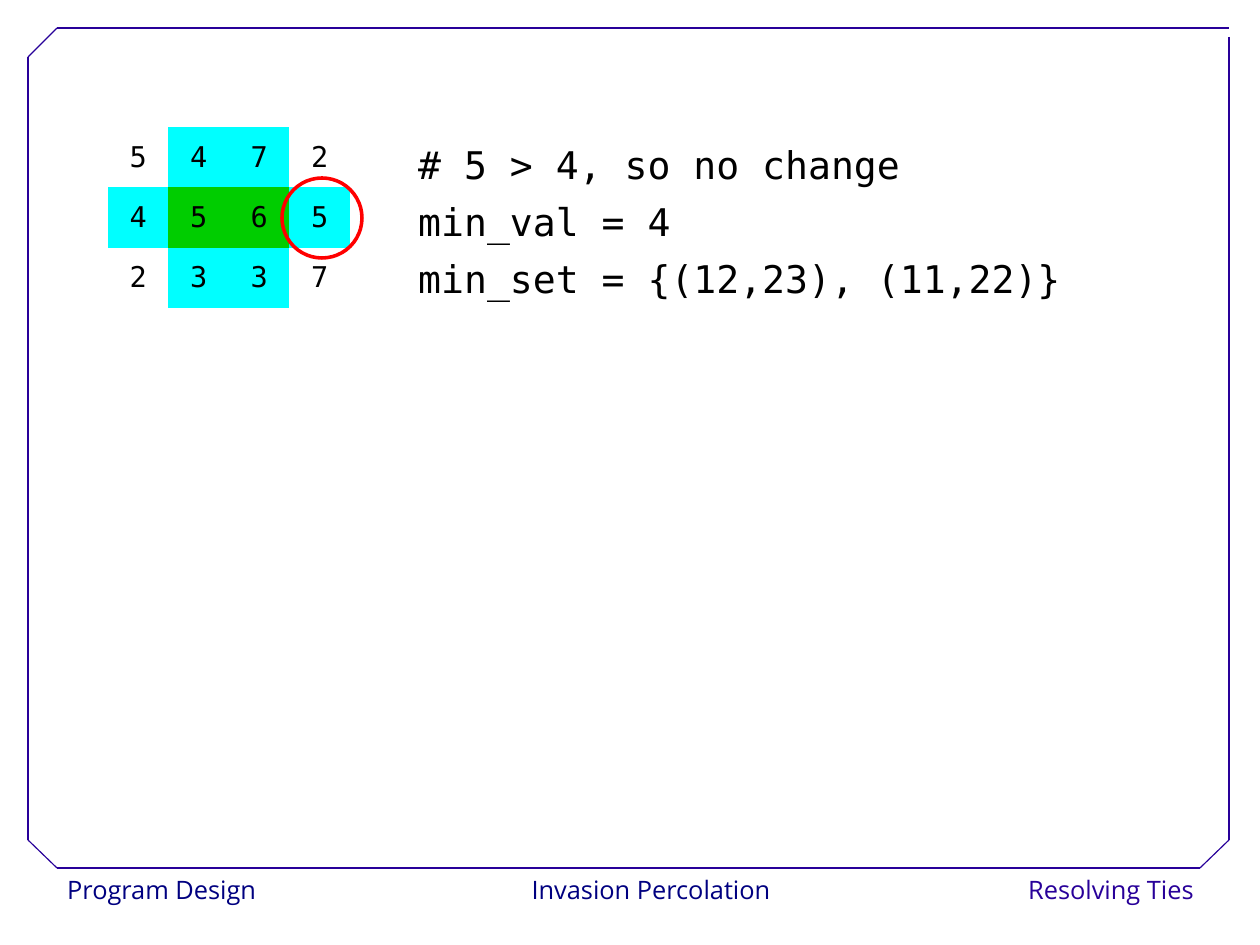
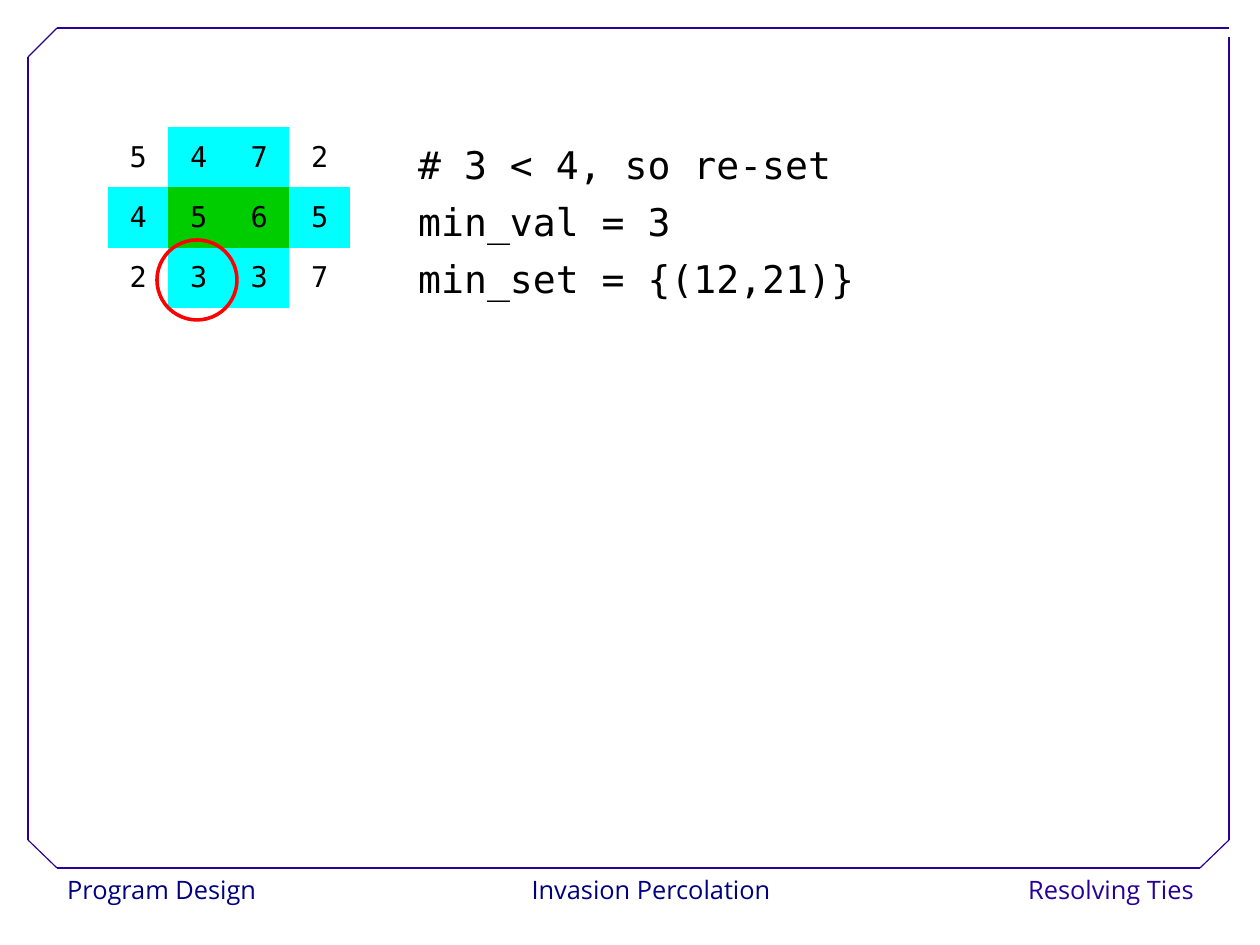
from itertools import pairwise

from lxml import etree
from pptx import Presentation
from pptx.dml.color import RGBColor
from pptx.enum.shapes import MSO_CONNECTOR, MSO_SHAPE
from pptx.enum.text import MSO_ANCHOR, PP_ALIGN
from pptx.oxml.ns import qn
from pptx.util import Pt

PX = 8000
LEFT, CENTER, RIGHT = PP_ALIGN.LEFT, PP_ALIGN.CENTER, PP_ALIGN.RIGHT
TOP, MIDDLE = MSO_ANCHOR.TOP, MSO_ANCHOR.MIDDLE
RECTANGLE, OVAL = MSO_SHAPE.RECTANGLE, MSO_SHAPE.OVAL
STRAIGHT = MSO_CONNECTOR.STRAIGHT
BLANK_LAYOUT = 6
PLAIN_TABLE_STYLE = "{2D5ABB26-0587-4C30-8999-92F81FD0307C}"

COLORS = {
    "paper": "FFFFFF",
    "ink": "000000",
    "navy": "000080",
    "violet": "280099",
    "neighbor": "00FFFF",
    "filled": "00CD00",
    "marker": "FF0000",
}
SANS, MONO = "Open Sans", "DejaVu Sans Mono"

SLIDE_SIZE = (1260, 945)
FRAME_PATH = [(1229, 37), (1229, 840), (1200, 868), (57, 868),
              (28, 840), (28, 57), (57, 28), (1229, 28)]
FOOTERS = [
    ("Program Design", (56, 868, 206, 46), LEFT, "navy"),
    ("Invasion Percolation", (523, 868, 256, 46), CENTER, "navy"),
    ("Resolving Ties", (1045, 868, 160, 46), RIGHT, "violet"),
]
GRID_BOX = (108, 127, 242, 181)
GRID_VALUES = ["5472", "4565", "2337"]
GRID_ROLES = [".NN.", "NFFN", ".NN."]
ROLE_COLORS = {"N": "neighbor", "F": "filled"}
MARKER_SIZE = 80
CODE_BOX = (407, 124, 742, 187)

STEPS = [
    ((282, 178), ["# 5 > 4, so no change", "min_val = 4",
                  "min_set = {(12,23), (11,22)}"]),
    ((157, 240), ["# 3 < 4, so re-set", "min_val = 3",
                  "min_set = {(12,21)}"]),
]


def px(*lengths):
    return [length * PX for length in lengths]


def rgb(name):
    return RGBColor.from_string(COLORS[name])


def write(frame, lines, *, size, font, color="ink", align=LEFT,
          spacing=1.02, wrap=True):
    frame.word_wrap = wrap
    for index, line in enumerate(lines):
        paragraph = frame.add_paragraph() if index else frame.paragraphs[0]
        paragraph.alignment = align
        paragraph.line_spacing = spacing
        run = paragraph.add_run()
        run.text = line
        run.font.size = Pt(size)
        run.font.name = font
        run.font.color.rgb = rgb(color)


class Deck:
    def __init__(self):
        self.presentation = Presentation()
        width, height = px(*SLIDE_SIZE)
        self.presentation.slide_width = width
        self.presentation.slide_height = height
        self.slide = None

    def new_slide(self):
        layout = self.presentation.slide_layouts[BLANK_LAYOUT]
        self.slide = self.presentation.slides.add_slide(layout)
        for label, box, align, color in FOOTERS:
            self.footer(label, box, align, color)
        for start, end in pairwise(FRAME_PATH):
            self.line(start, end)

    def footer(self, label, box, align, color):
        band = self.slide.shapes.add_shape(RECTANGLE, *px(*box))
        band.shadow.inherit = False
        band.fill.solid()
        band.fill.fore_color.rgb = rgb("paper")
        band.line.fill.background()
        band.text_frame.vertical_anchor = TOP
        write(band.text_frame, [label], size=16, font=SANS, color=color,
              align=align, wrap=False)

    def line(self, start, end):
        edge = self.slide.shapes.add_connector(STRAIGHT, *px(*start, *end))
        edge.line.color.rgb = rgb("violet")
        edge.line.width = Pt(0.75)
        etree.SubElement(edge._element.spPr, qn("a:effectLst"))

    def grid(self):
        table = self.slide.shapes.add_table(
            len(GRID_VALUES), len(GRID_VALUES[0]), *px(*GRID_BOX)).table
        table.first_row = table.horz_banding = False
        table._tbl.tblPr.find(qn("a:tableStyleId")).text = PLAIN_TABLE_STYLE
        roles = "".join(GRID_ROLES)
        values = "".join(GRID_VALUES)
        for cell, value, role in zip(table.iter_cells(), values, roles):
            if role in ROLE_COLORS:
                cell.fill.solid()
                cell.fill.fore_color.rgb = rgb(ROLE_COLORS[role])
            else:
                cell.fill.background()
            cell.vertical_anchor = MIDDLE
            write(cell.text_frame, [value], size=18, font=MONO, align=CENTER)

    def marker(self, left, top):
        ring = self.slide.shapes.add_shape(
            OVAL, *px(left, top, MARKER_SIZE, MARKER_SIZE))
        ring.shadow.inherit = False
        ring.fill.background()
        ring.line.color.rgb = rgb("marker")
        ring.line.width = Pt(2.25)

    def code(self, lines):
        listing = self.slide.shapes.add_textbox(*px(*CODE_BOX))
        write(listing.text_frame, lines, size=24, font=MONO, spacing=1.25)


def main():
    deck = Deck()
    for marker_corner, code_lines in STEPS:
        deck.new_slide()
        deck.grid()
        deck.marker(*marker_corner)
        deck.code(code_lines)
    deck.presentation.save("out.pptx")


if __name__ == "__main__":
    main()
